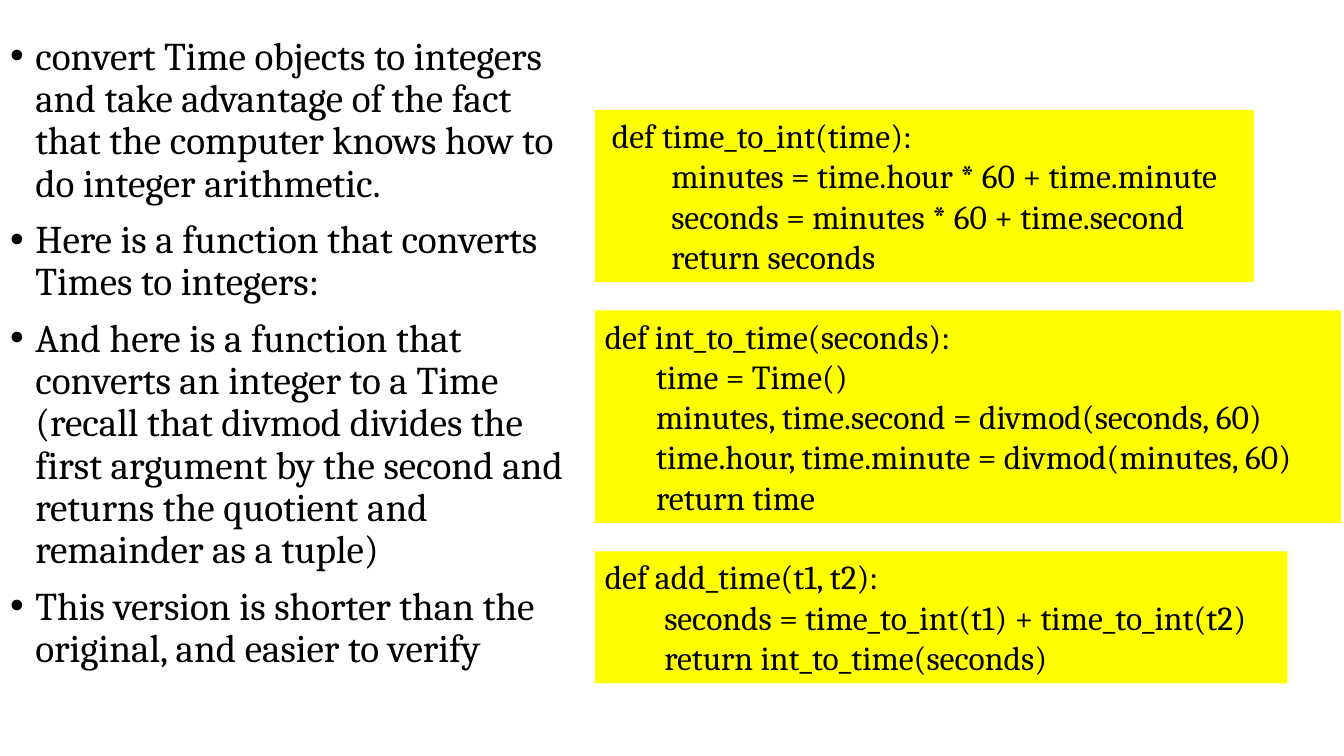
from lxml import etree
from pptx import Presentation
from pptx.dml.color import RGBColor
from pptx.enum.text import MSO_ANCHOR, MSO_AUTO_SIZE, PP_ALIGN
from pptx.oxml.ns import qn
from pptx.util import Inches, Pt

FONT = "Cambria"
BLACK = RGBColor(0, 0, 0)
YELLOW = RGBColor(255, 255, 0)

POINTS = [
    "convert Time objects to integers and take advantage of the fact that "
    "the computer knows how to do integer arithmetic.",
    "Here is a function that converts Times to integers:",
    "And here is a function that converts an integer to a Time (recall that "
    "divmod divides the first argument by the second and returns the "
    "quotient and remainder as a tuple)",
    "This version is shorter than the original, and easier to verify",
]
FUNCTIONS = [
    dict(width=6.54, head_indent=0.07, body_indent=0.66, lines=[
        "def time_to_int(time):",
        "minutes = time.hour * 60 + time.minute",
        "seconds = minutes * 60 + time.second",
        "return seconds",
    ]),
    dict(width=7.4, head_indent=0, body_indent=0.51, lines=[
        "def int_to_time(seconds):",
        "time = Time()",
        "minutes, time.second = divmod(seconds, 60)",
        "time.hour, time.minute = divmod(minutes, 60)",
        "return time",
    ]),
    dict(width=6.87, head_indent=0, body_indent=0.59, lines=[
        "def add_time(t1, t2):",
        "seconds = time_to_int(t1) + time_to_int(t2)",
        "return int_to_time(seconds)",
    ]),
]
CODE_LEFT, CODE_TOP = 5.9, 1.09
LINE_HEIGHT, PADDING, GAP = 0.4, 0.11, 0.28


def add_text(tf, text, first=False, size=24, margin=0, bullet=None,
             spacing=1.0, before=0):
    """Write one paragraph into a text frame."""
    p = tf.paragraphs[0] if first else tf.add_paragraph()
    p.alignment = PP_ALIGN.LEFT
    p.line_spacing = spacing
    p.space_before = Pt(before)
    pPr = p._p.get_or_add_pPr()
    pPr.set("marL", str(Inches(margin)))
    pPr.set("indent", str(-Inches(margin) if bullet else 0))
    if bullet:
        etree.SubElement(pPr, qn("a:buFont")).set("typeface", "Arial")
        etree.SubElement(pPr, qn("a:buChar")).set("char", bullet)
    r = p.add_run()
    r.text = text
    r.font.name = FONT
    r.font.size = Pt(size)
    r.font.color.rgb = BLACK


def add_points(slide):
    """Fill the body placeholder with the bulleted points."""
    title, body = slide.placeholders
    title.element.getparent().remove(title.element)
    body.left, body.top = Inches(0), Inches(0.31)
    body.width, body.height = Inches(5.9), Inches(7.19)
    tf = body.text_frame
    tf.word_wrap = True
    tf.auto_size = MSO_AUTO_SIZE.NONE
    tf.vertical_anchor = MSO_ANCHOR.TOP
    for i, text in enumerate(POINTS):
        add_text(tf, text, first=i == 0, size=28, margin=0.25, bullet="•",
                 spacing=0.9, before=10)


def add_functions(slide):
    """Stack the code boxes with equal gaps."""
    top = CODE_TOP
    for function in FUNCTIONS:
        lines = function["lines"]
        height = LINE_HEIGHT * len(lines) + PADDING
        sp = slide.shapes.add_textbox(
            Inches(CODE_LEFT), Inches(top),
            Inches(function["width"]), Inches(height))
        sp.fill.solid()
        sp.fill.fore_color.rgb = YELLOW
        tf = sp.text_frame
        tf.word_wrap = True
        tf.auto_size = MSO_AUTO_SIZE.SHAPE_TO_FIT_TEXT
        for i, line in enumerate(lines):
            indent = function["body_indent" if i else "head_indent"]
            add_text(tf, line, first=i == 0, margin=indent)
        top += height + GAP


def main():
    """Build the slide and save it."""
    prs = Presentation()
    prs.slide_width, prs.slide_height = Inches(13.33), Inches(7.5)
    slide = prs.slides.add_slide(prs.slide_layouts[1])
    add_points(slide)
    add_functions(slide)
    prs.save("out.pptx")


if __name__ == "__main__":
    main()
